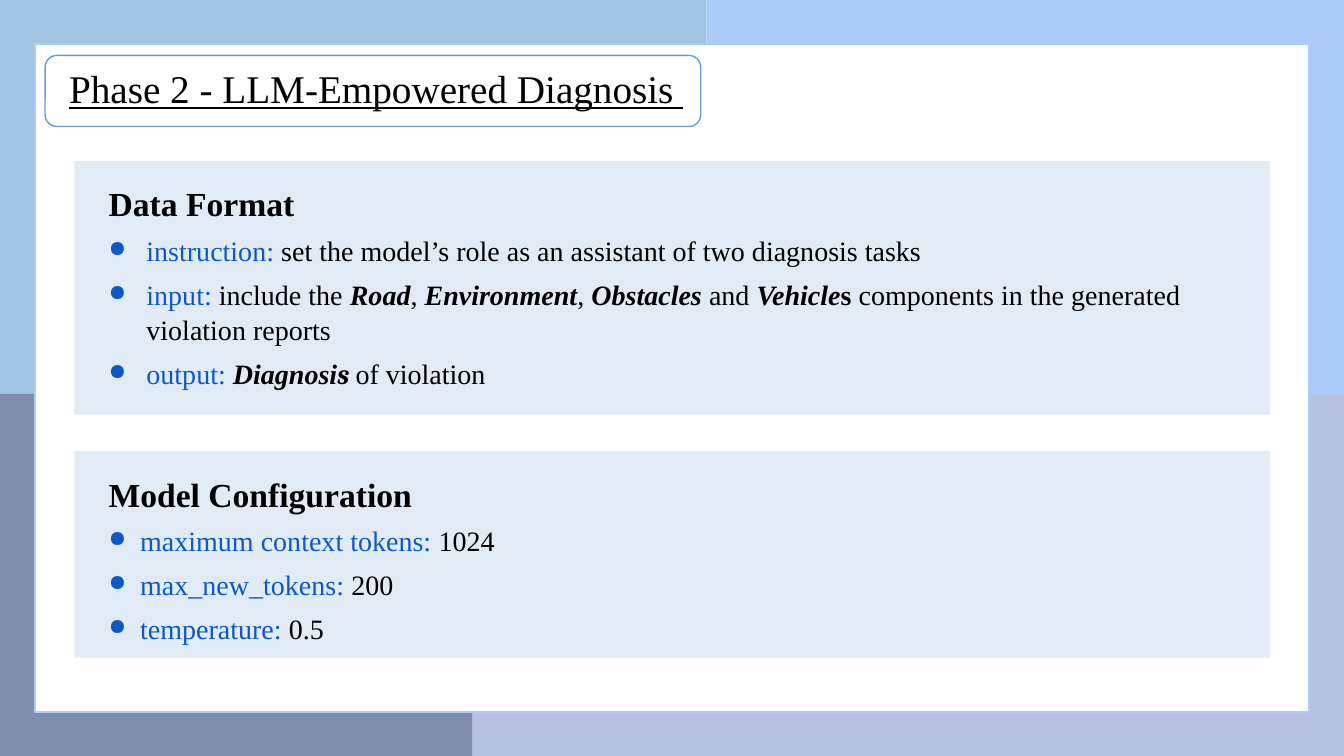
from typing import NamedTuple

from lxml import etree
from pptx import Presentation
from pptx import util as u
from pptx.dml.color import RGBColor
from pptx.enum import shapes, text
from pptx.oxml.ns import qn

BLACK = RGBColor(0x00, 0x00, 0x00)
WHITE = RGBColor(0xFF, 0xFF, 0xFF)
KEY_BLUE = RGBColor(0x0E, 0x58, 0xC4)
PANEL_BLUE = RGBColor(0xE0, 0xEB, 0xF6)
OUTLINE_BLUE = RGBColor(0x62, 0x9D, 0xD1)
SKY = RGBColor(0xA1, 0xC4, 0xE3)
PERIWINKLE = RGBColor(0xAC, 0xCB, 0xF9)
SLATE = RGBColor(0x7F, 0x8F, 0xA9)
LAVENDER = RGBColor(0xB5, 0xC1, 0xDF)

SERIF = "Times New Roman"
SLIDE_W, SLIDE_H = 960, 540
MID_Y, TOP_SPLIT, BOTTOM_SPLIT = 281.4, 504.6, 337.2
PANEL_LEFT, PANEL_WIDTH = 53.1, 854.1
TEXT_LEFT = 70.5


class Box(NamedTuple):
    left: float
    top: float
    width: float
    height: float

    def lengths(self) -> list:
        return [u.Pt(value) for value in self]


class Words(NamedTuple):
    content: str
    color: RGBColor = BLACK
    bold: bool = False
    italic: bool = False
    underline: bool = False
    font: str = SERIF


class Section(NamedTuple):
    panel: Box
    body: Box
    heading: str
    indent: float
    items: list[list[Words]]


def key(content: str) -> Words:
    return Words(content, KEY_BLUE)


def strong(content: str) -> Words:
    return Words(content, bold=True, italic=True)


BACKDROP = [
    (Box(BOTTOM_SPLIT, MID_Y, SLIDE_W - BOTTOM_SPLIT, SLIDE_H - MID_Y), LAVENDER),
    (Box(0, 0, TOP_SPLIT, MID_Y), SKY),
    (Box(TOP_SPLIT, 0, SLIDE_W - TOP_SPLIT, MID_Y), PERIWINKLE),
    (Box(0, MID_Y, BOTTOM_SPLIT, SLIDE_H - MID_Y), SLATE),
]

SECTIONS = [
    Section(
        Box(PANEL_LEFT, 115.1, PANEL_WIDTH, 181.2),
        Box(TEXT_LEFT, 126, 818, 162),
        "Data Format",
        27,
        [
            [key("instruction: "),
             Words("set the model’s role as an assistant of two diagnosis tasks")],
            [key("input: "), Words("include the "), strong("Road"), Words(", "),
             strong("Environment"), Words(", "), strong("Obstacles "), Words("and "),
             strong("Vehicle"), Words("s ", bold=True),
             Words("components in the generated violation reports")],
            [key("output: "), strong("Diagnosi"),
             Words("s ", bold=True, italic=True, font="Cambria"),
             Words("of violation")],
        ],
    ),
    Section(
        Box(PANEL_LEFT, 322.3, PANEL_WIDTH, 147.5),
        Box(TEXT_LEFT, 333.2, 362, 127.4),
        "Model Configuration",
        22.5,
        [
            [key("maximum context tokens: "), Words("1024")],
            [key("max_new_tokens: "), Words("200")],
            [key("temperature: "), Words("0.5")],
        ],
    ),
]


def add_block(slide, box: Box, fill: RGBColor | None, line: RGBColor | None = None,
              kind=shapes.MSO_SHAPE.RECTANGLE):
    block = slide.shapes.add_shape(kind, *box.lengths())
    block.shadow.inherit = False
    if fill is None:
        block.fill.background()
    else:
        block.fill.solid()
        block.fill.fore_color.rgb = fill
    if line is None:
        block.line.fill.background()
    else:
        block.line.color.rgb = line
        block.line.width = u.Pt(1)
    return block


def add_text_frame(slide, box: Box):
    frame = slide.shapes.add_textbox(*box.lengths()).text_frame
    frame.word_wrap = True
    frame.vertical_anchor = text.MSO_ANCHOR.TOP
    return frame


def write(paragraph, words: list[Words], size: float) -> None:
    for part in words:
        run = paragraph.add_run()
        run.text = part.content
        run.font.name = part.font
        run.font.size = u.Pt(size)
        run.font.color.rgb = part.color
        run.font.bold = part.bold
        run.font.italic = part.italic
        run.font.underline = part.underline


def add_bullet(paragraph, indent: float) -> None:
    """Give the paragraph a hanging round bullet in the colour of its first run."""
    properties = paragraph._p.get_or_add_pPr()
    properties.set("marL", str(u.Pt(indent)))
    properties.set("indent", str(-u.Pt(indent)))
    etree.SubElement(properties, qn("a:buSzPct"), val="80000")
    etree.SubElement(properties, qn("a:buChar"), char="●")


def space(paragraph) -> None:
    paragraph.line_spacing = 1.05
    paragraph.space_after = u.Pt(6)


def add_section(slide, section: Section) -> None:
    frame = add_text_frame(slide, section.body)
    heading = frame.paragraphs[0]
    space(heading)
    write(heading, [Words(section.heading, bold=True)], 24)
    for item in section.items:
        paragraph = frame.add_paragraph()
        add_bullet(paragraph, section.indent)
        space(paragraph)
        write(paragraph, item, 20)


def main() -> None:
    deck = Presentation()
    deck.slide_width, deck.slide_height = u.Pt(SLIDE_W), u.Pt(SLIDE_H)
    slide = deck.slides.add_slide(deck.slide_layouts[6])

    for box, color in BACKDROP:
        add_block(slide, box, color)
    add_block(slide, Box(25, 31.5, 910, 477), WHITE, PERIWINKLE)

    add_block(slide, Box(32.2, 39.6, 468.3, 50.8), None, OUTLINE_BLUE,
              shapes.MSO_SHAPE.ROUNDED_RECTANGLE)
    title = add_text_frame(slide, Box(42.3, 42.5, 458, 40.5))
    write(title.paragraphs[0],
          [Words("Phase 2 - LLM-Empowered Diagnosis ", underline=True)], 28)

    for section in SECTIONS:
        add_block(slide, section.panel, PANEL_BLUE)
    for section in SECTIONS:
        add_section(slide, section)

    deck.save("out.pptx")


if __name__ == "__main__":
    main()
